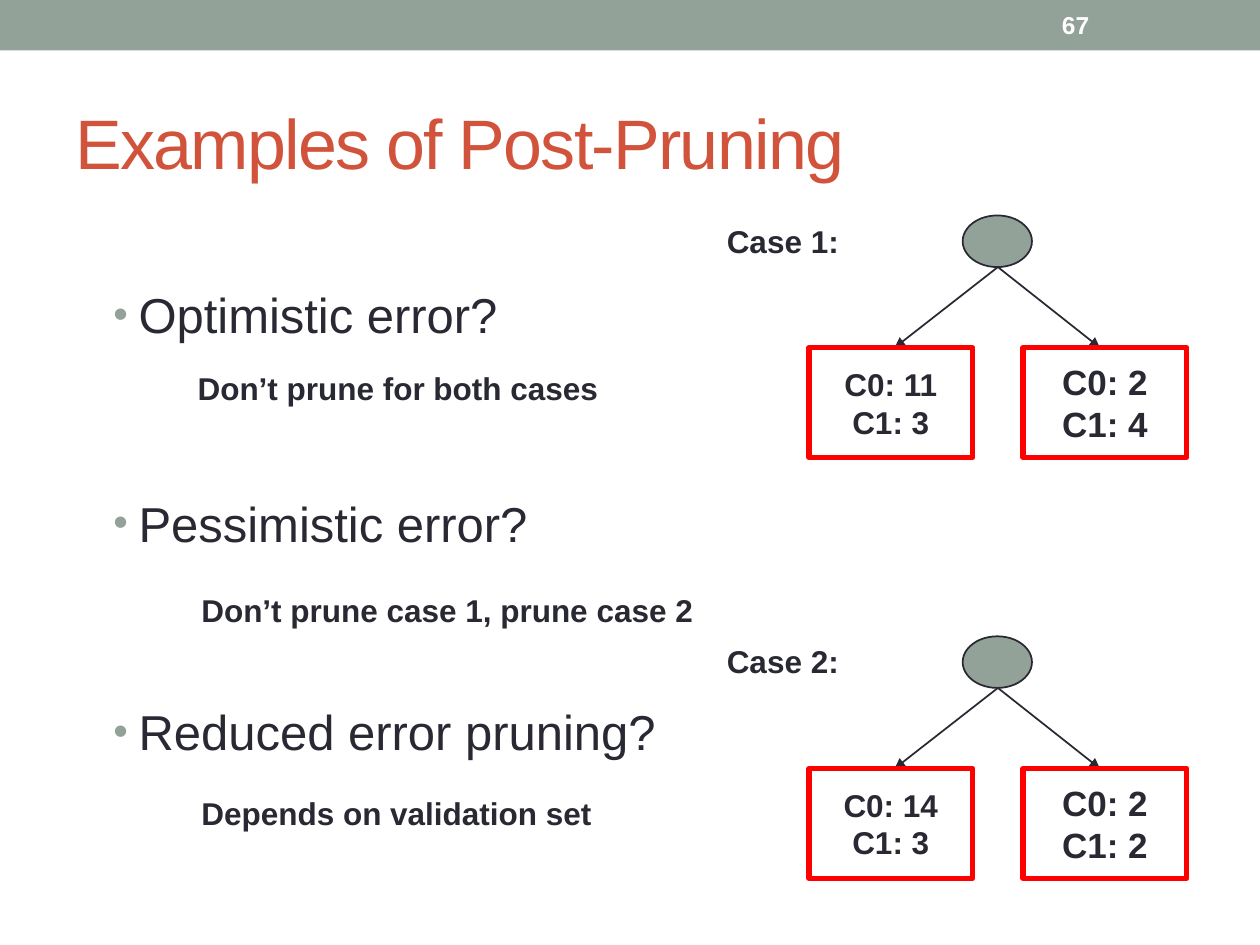
from dataclasses import dataclass

from lxml import etree
from pptx import Presentation
from pptx.dml.color import RGBColor
from pptx.enum import shapes, text
from pptx.oxml.ns import qn
from pptx.util import Inches, Pt


@dataclass(frozen=True)
class Theme:
    font: str = "Arial"
    ink: str = "292934"
    sage: str = "93A299"
    title: str = "D2533C"
    leaf: str = "FF0000"
    white: str = "FFFFFF"
    title_size: int = 40
    bullet_size: int = 28
    note_size: int = 18
    right_leaf_size: int = 20
    number_size: int = 14


@dataclass(frozen=True)
class Case:
    label: str
    top: float
    left_leaf: tuple[str, ...]
    right_leaf: tuple[str, ...]


@dataclass(frozen=True)
class Note:
    words: str
    left: float
    top: float
    width: float


T = Theme()
BULLETS = ("Optimistic error?", "Pessimistic error?", "Reduced error pruning?")
CASES = (
    Case("Case 1:", 1.71, ("C0: 11", "C1: 3"), ("C0: 2", "C1: 4")),
    Case("Case 2:", 5.05, ("C0: 14", "C1: 3"), ("C0: 2", "C1: 2")),
)
NOTES = (
    Note("Don’t prune for both cases", 1.47, 2.88, 4),
    Note("Don’t prune case 1, prune case 2", 1.5, 4.64, 4.33),
    Note("Depends on validation set", 1.5, 6.25, 3.58),
)


def place(sp, left: float, top: float, width: float, height: float) -> None:
    sp.left, sp.top = Inches(left), Inches(top)
    sp.width, sp.height = Inches(width), Inches(height)


def write(tf, *lines: str, size: int, color: str = T.ink, bold: bool = True,
          align=text.PP_ALIGN.LEFT, anchor=text.MSO_ANCHOR.TOP,
          wrap: bool = True, before: float = 0) -> None:
    """Fill a text frame with one paragraph per line."""
    tf.word_wrap, tf.vertical_anchor = wrap, anchor
    tf.auto_size = text.MSO_AUTO_SIZE.NONE
    for i, line in enumerate(lines):
        p = tf.paragraphs[0] if i == 0 else tf.add_paragraph()
        p.alignment, p.space_before = align, Pt(before)
        r = p.add_run()
        r.text = line
        r.font.name, r.font.size, r.font.bold = T.font, Pt(size), bold
        r.font.color.rgb = RGBColor.from_string(color)


def add_label(s, words: str, left: float, top: float, width: float,
              height: float = 0.4, **fmt) -> None:
    sp = s.shapes.add_textbox(0, 0, 0, 0)
    place(sp, left, top, width, height)
    write(sp.text_frame, words, **fmt)


def add_box(s, kind, left: float, top: float, width: float, height: float,
            fill: str | None = None, line: str | None = None, weight: float = 1):
    sp = s.shapes.add_shape(kind, 0, 0, 0, 0)
    place(sp, left, top, width, height)
    sp.shadow.inherit = False
    if fill:
        sp.fill.solid()
        sp.fill.fore_color.rgb = RGBColor.from_string(fill)
    else:
        sp.fill.background()
    if line:
        sp.line.color.rgb = RGBColor.from_string(line)
        sp.line.width = Pt(weight)
    else:
        sp.line.fill.background()
    return sp


def add_arrow(s, x1: float, y1: float, x2: float, y2: float) -> None:
    cx = s.shapes.add_connector(shapes.MSO_CONNECTOR.STRAIGHT, Inches(x1),
                                Inches(y1), Inches(x2), Inches(y2))
    cx.line.color.rgb = RGBColor.from_string(T.ink)
    cx.line.width = Pt(1)
    etree.SubElement(cx.line._get_or_add_ln(), qn("a:tailEnd"), type="triangle")
    etree.SubElement(cx._element.spPr, qn("a:effectLst"))


def add_bullet(p) -> None:
    p.level = 1
    pPr = p._p.get_or_add_pPr()
    pPr.set("marL", str(Inches(0.5)))
    pPr.set("indent", str(Inches(-0.2)))
    clr = etree.SubElement(pPr, qn("a:buClr"))
    etree.SubElement(clr, qn("a:srgbClr"), val=T.sage)
    etree.SubElement(pPr, qn("a:buSzPct"), val="85000")
    etree.SubElement(pPr, qn("a:buFont"), typeface=T.font)
    etree.SubElement(pPr, qn("a:buChar"), char="•")


def draw_case(s, case: Case) -> None:
    """Root node, two arrows and two leaves, with the case label."""
    root_x, root_bottom, leaf_top = 7.92, case.top + 0.41, case.top + 1.05
    add_box(s, shapes.MSO_SHAPE.OVAL, 7.64, case.top, 0.55, 0.41, T.sage, T.ink)
    leaves = ((6.42, 7.1, case.left_leaf, T.note_size),
              (8.12, 8.73, case.right_leaf, T.right_leaf_size))
    for left, tip, counts, size in leaves:
        add_arrow(s, root_x, root_bottom, tip, leaf_top)
        sp = add_box(s, shapes.MSO_SHAPE.RECTANGLE, left, leaf_top, 1.3, 0.87,
                     line=T.leaf, weight=3)
        write(sp.text_frame, *counts, size=size, wrap=False,
              align=text.PP_ALIGN.CENTER, anchor=text.MSO_ANCHOR.MIDDLE)
    add_label(s, case.label, 5.67, case.top, 1.33, size=T.note_size, before=2)


def main() -> None:
    prs = Presentation()
    prs.slide_width, prs.slide_height = Inches(10), Inches(7.5)
    s = prs.slides.add_slide(prs.slide_layouts[1])

    # Top band and slide number
    add_box(s, shapes.MSO_SHAPE.RECTANGLE, 0, 0, 10, 0.4, T.sage)
    add_label(s, "67", 8.33, 0.02, 1.17, 0.36, size=T.number_size,
              color=T.white, anchor=text.MSO_ANCHOR.MIDDLE)

    # Title
    title = s.shapes.title
    place(title, 0.5, 0.58, 9, 1.08)
    write(title.text_frame, "Examples of Post-Pruning", size=T.title_size,
          color=T.title, bold=False, anchor=text.MSO_ANCHOR.MIDDLE)
    title.text_frame.paragraphs[0].runs[0].font._element.set("spc", "-100")

    # Questions, spread down the left column
    body = s.placeholders[1]
    place(body, 0.5, 2.21, 5, 4.95)
    write(body.text_frame, *BULLETS, size=T.bullet_size, bold=False, before=85.5)
    body.text_frame.paragraphs[0].space_before = Pt(3.5)
    for p in body.text_frame.paragraphs:
        add_bullet(p)

    # Answers and the two trees
    for note in NOTES:
        add_label(s, note.words, note.left, note.top, note.width,
                  size=T.note_size, before=2)
    for case in CASES:
        draw_case(s, case)

    prs.save("out.pptx")


if __name__ == "__main__":
    main()
